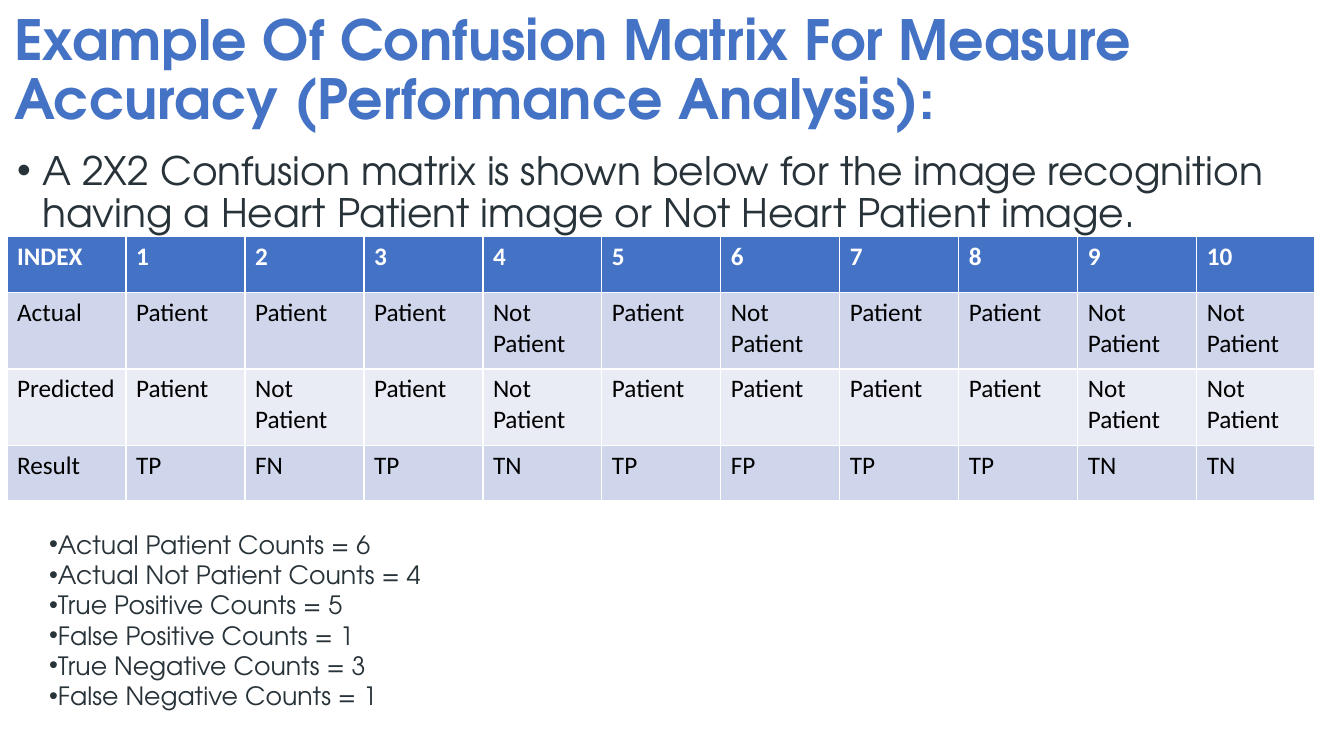
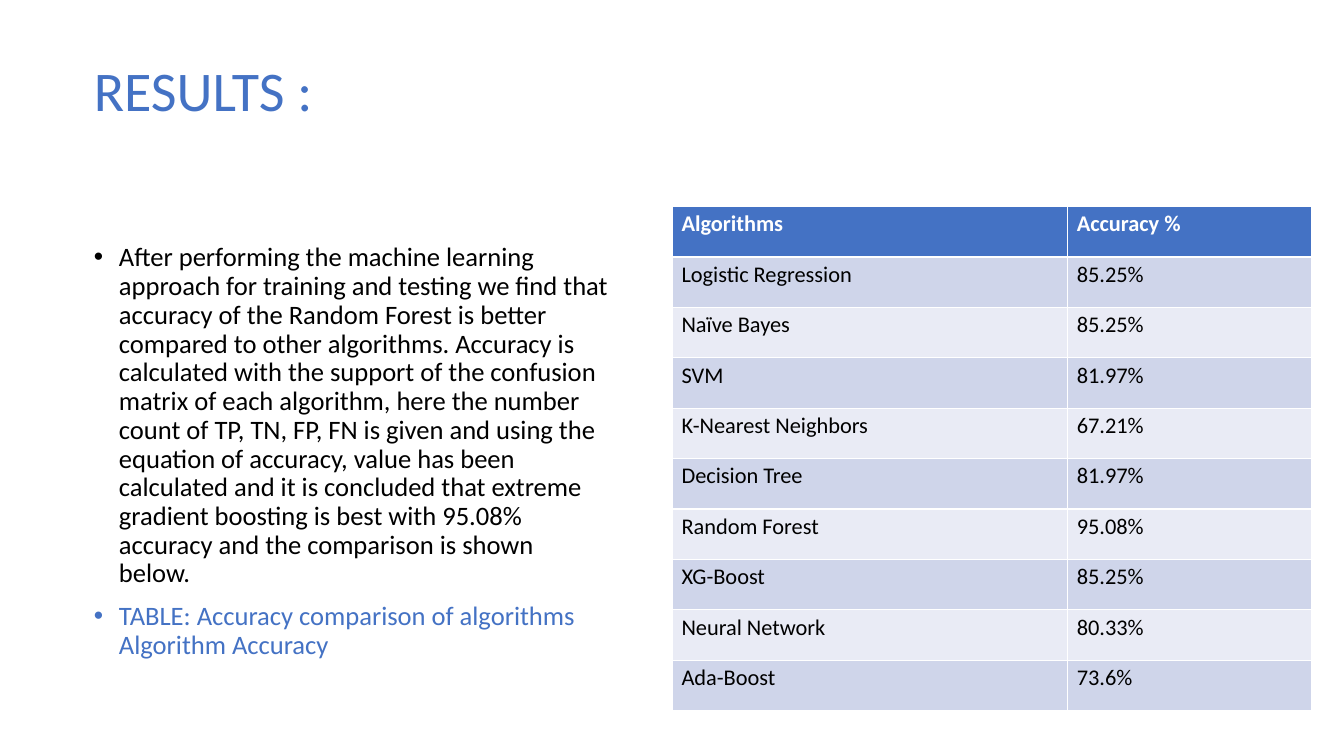
from lxml import etree
from pptx import Presentation
from pptx.dml.color import RGBColor
from pptx.enum import shapes, text
from pptx.oxml import ns
from pptx.util import Inches, Pt

BLUE, INK, BLACK, WHITE = "4472C4", "273239", "000000", "FFFFFF"
STRIPES = ("CFD5EA", "E9EBF5")
SANS, GEOMETRIC = "Calibri", "TeX Gyre Adventor"


def color(value):
    return RGBColor.from_string(value)


class Deck:
    def __init__(self, width, height):
        self.presentation = Presentation()
        self.presentation.slide_width = Inches(width)
        self.presentation.slide_height = Inches(height)
        self.slide = None

    def add_slide(self):
        layout = self.presentation.slide_layouts[1]
        self.slide = self.presentation.slides.add_slide(layout)

    def place(self, shape, box):
        shape.left, shape.top, shape.width, shape.height = map(Inches, box)

    def style(self, paragraph, font, size, ink, bold=False):
        for run in paragraph.runs:
            run.font.name = font
            run.font.size = Pt(size)
            run.font.bold = bold
            run.font.color.rgb = color(ink)

    def bullet(self, paragraph, indent):
        properties = paragraph._p.get_or_add_pPr()
        properties.set("marL", str(Inches(indent)))
        properties.set("indent", str(-Inches(indent)))
        etree.SubElement(properties, ns.qn("a:buFont"), typeface="Arial")
        etree.SubElement(properties, ns.qn("a:buChar"), char="•")

    def title(self, wording, box, font, size, bold=False):
        heading = self.slide.shapes.title
        self.place(heading, box)
        frame = heading.text_frame
        frame.text = wording
        frame.auto_size = text.MSO_AUTO_SIZE.NONE
        frame.vertical_anchor = text.MSO_ANCHOR.MIDDLE
        line = frame.paragraphs[0]
        line.alignment = text.PP_ALIGN.LEFT
        line.line_spacing = 0.9
        self.style(line, font, size, BLUE, bold)

    def fill_list(self, frame, items, font, size, indent, spacing, gap):
        frame.word_wrap = True
        frame.auto_size = text.MSO_AUTO_SIZE.NONE
        frame.text = "\n".join(wording for wording, _ in items)
        for number, (item, (_, ink)) in enumerate(zip(frame.paragraphs, items)):
            self.bullet(item, indent)
            item.line_spacing = spacing
            item.space_before = Pt(gap if number else 0)
            self.style(item, font, size, ink)

    def body(self, items, box, font, size, anchor=text.MSO_ANCHOR.TOP):
        content = self.slide.placeholders[1]
        self.place(content, box)
        content.text_frame.vertical_anchor = anchor
        self.fill_list(content.text_frame, items, font, size, 0.25, 0.9, 10)

    def count_list(self, items, box, font, size):
        counts = self.slide.shapes.add_textbox(*map(Inches, box))
        self.fill_list(counts.text_frame, items, font, size, 0, 1.0, 0)

    def band(self, box):
        header = self.slide.shapes.add_shape(
            shapes.MSO_SHAPE.RECTANGLE, *map(Inches, box))
        header.shadow.inherit = False
        header.fill.solid()
        header.fill.fore_color.rgb = color(WHITE)
        header.line.fill.background()
        self.slide.shapes._spTree.insert(2, header._element)

    def table(self, rows, left, top, widths, heights, size, margins=(0.1, 0.05)):
        grid = self.slide.shapes.add_table(
            len(rows), len(widths), Inches(left), Inches(top),
            Inches(sum(widths)), Inches(sum(heights))).table
        for column, width in zip(grid.columns, widths):
            column.width = Inches(width)
        side, edge = map(Inches, margins)
        for number, (values, height) in enumerate(zip(rows, heights)):
            grid.rows[number].height = Inches(height)
            is_header = number == 0
            background = BLUE if is_header else STRIPES[(number - 1) % 2]
            for position, value in enumerate(values):
                cell = grid.cell(number, position)
                cell.text = value
                cell.margin_left = cell.margin_right = side
                cell.margin_top = cell.margin_bottom = edge
                cell.fill.solid()
                cell.fill.fore_color.rgb = color(background)
                self.style(cell.text_frame.paragraphs[0], SANS, size,
                           WHITE if is_header else BLACK, is_header)


def confusion_matrix(deck):
    deck.add_slide()
    deck.title("Example Of Confusion Matrix For Measure Accuracy "
               "(Performance Analysis):",
               (0.04, 0.1, 13.26, 1.23), GEOMETRIC, 39.6, True)
    deck.body([("A 2X2 Confusion matrix is shown below for the image recognition "
                "having a Heart Patient image or Not Heart Patient image.", INK)],
              (0.07, 1.45, 13.26, 6.05), GEOMETRIC, 28)
    names = {"P": "Patient", "N": "Not Patient"}
    rows = [
        ["INDEX"] + [str(index) for index in range(1, 11)],
        ["Actual"] + [names[key] for key in "PPPNPNPPNN"],
        ["Predicted"] + [names[key] for key in "PNPNPPPPNN"],
        ["Result"] + "TP FN TP TN TP FP TP TP TN TN".split(),
    ]
    deck.table(rows, 0.07, 2.35, [1.18] * 10 + [1.17],
               [0.55, 0.76, 0.76, 0.55], 18)
    counts = {
        "Actual Patient": 6,
        "Actual Not Patient": 4,
        "True Positive": 5,
        "False Positive": 1,
        "True Negative": 3,
        "False Negative": 1,
    }
    deck.count_list([(f"{name} Counts = {count}", INK)
                     for name, count in counts.items()],
                    (0.39, 5.2, 6.86, 1.92), GEOMETRIC, 18)


def results(deck):
    deck.add_slide()
    deck.band((0, 0, 13.33, 1.9))
    deck.title("RESULTS :", (0.83, 0.26, 11.77, 1.34), SANS, 40)
    findings = (
        "After performing the machine learning approach for training and testing "
        "we find that accuracy of the Random Forest is better compared to other "
        "algorithms. Accuracy is calculated with the support of the confusion "
        "matrix of each algorithm, here the number count of TP, TN, FP, FN is "
        "given and using the equation of accuracy, value has been calculated and "
        "it is concluded that extreme gradient boosting is best with 95.08% "
        "accuracy and the comparison is shown below.")
    caption = "TABLE: Accuracy comparison of algorithms Algorithm Accuracy"
    deck.body([(findings, BLACK), (caption, BLUE)],
              (0.83, 1.96, 5.32, 5.05), SANS, 19, text.MSO_ANCHOR.MIDDLE)
    rows = [
        ("Algorithms", "Accuracy %"),
        ("Logistic Regression", "85.25%"),
        ("Naïve Bayes", "85.25%"),
        ("SVM", "81.97%"),
        ("K-Nearest Neighbors", "67.21%"),
        ("Decision Tree", "81.97%"),
        ("Random Forest", "95.08%"),
        ("XG-Boost", "85.25%"),
        ("Neural Network", "80.33%"),
        ("Ada-Boost", "73.6%"),
    ]
    deck.table(rows, 6.67, 2.05, [3.92, 2.42], [0.5] * len(rows), 16,
               (0.09, 0.04))


def main():
    deck = Deck(13.33, 7.5)
    confusion_matrix(deck)
    results(deck)
    deck.presentation.save("out.pptx")


if __name__ == "__main__":
    main()
